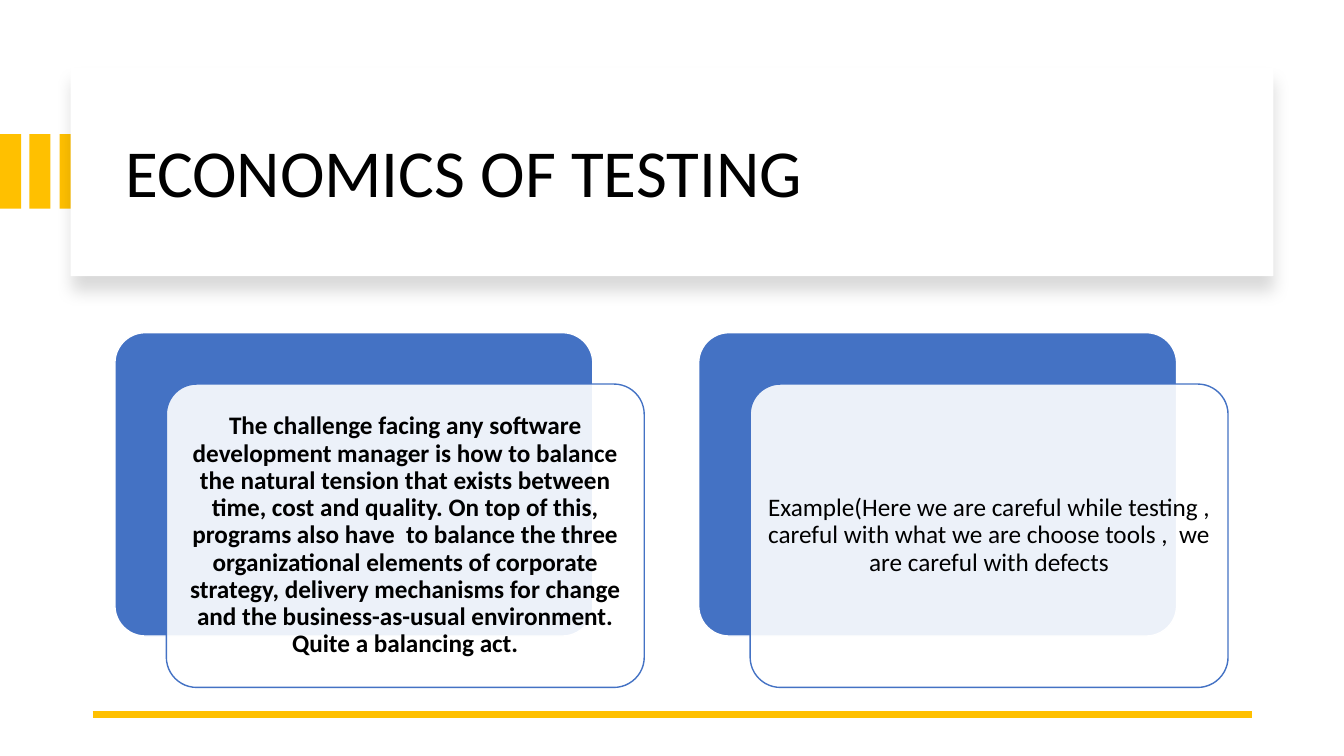
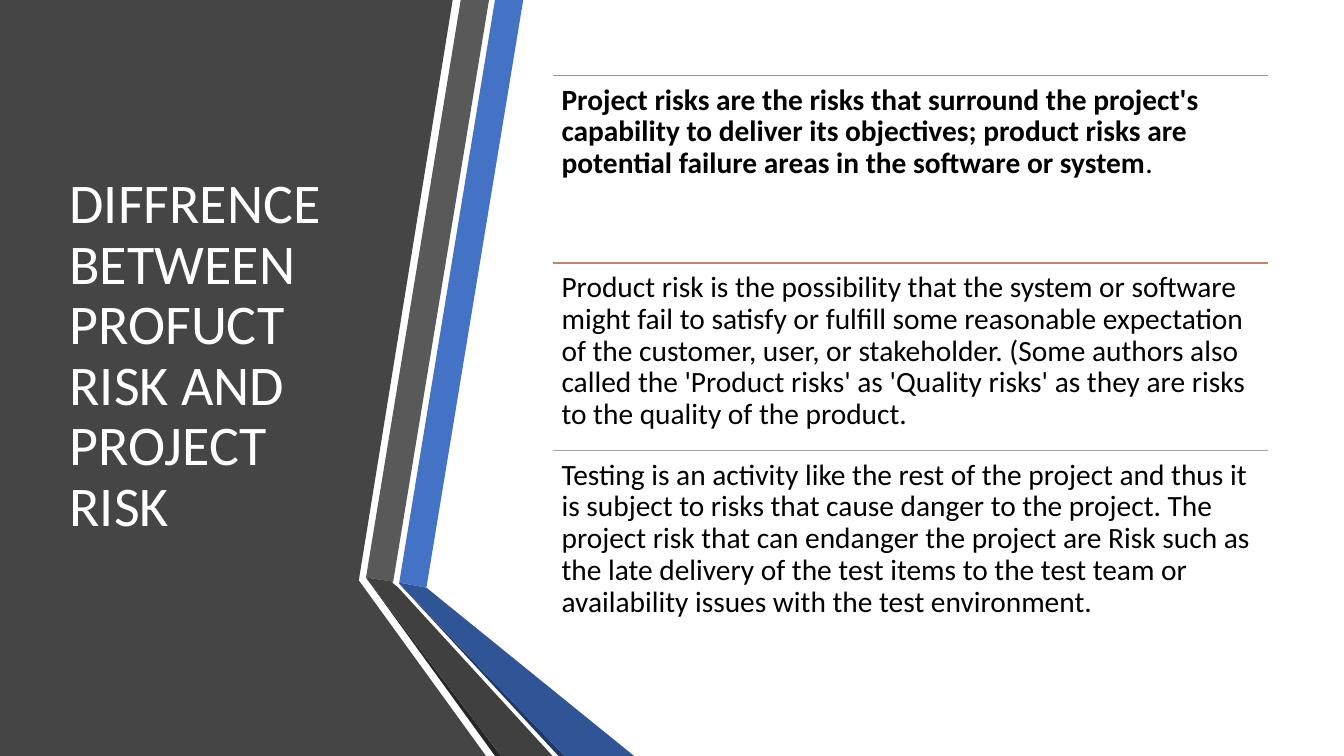
"""Build two slides on the economics of testing and on product and project risk."""
from lxml.etree import SubElement
from pptx import Presentation
from pptx.dml.color import RGBColor
from pptx.enum.shapes import MSO_CONNECTOR, MSO_SHAPE
from pptx.enum.text import MSO_ANCHOR, MSO_AUTO_SIZE, PP_ALIGN
from pptx.oxml.ns import qn
from pptx.util import Emu, Pt

PX = 9144
FONT = "Calibri"
COLORS = {
    "white": "FFFFFF", "black": "000000", "gold": "FFC000",
    "blue": "4472C4", "blue_dark": "2F5597", "navy": "203864",
    "panel": "454545", "gray": "595959", "gray_dark": "404040",
    "charcoal": "262626", "orange": "ED7D31", "rose": "C48170",
    "silver": "A5A5A5",
}

CARDS = [
    ("The challenge facing any software development manager is how to balance "
     "the natural tension that exists between time, cost and quality. On top of "
     "this, programs also have  to balance the three organizational elements of "
     "corporate strategy, delivery mechanisms for change and the "
     "business-as-usual environment. Quite a balancing act.", True),
    ("Example(Here we are careful while testing , careful with what we are "
     "choose tools ,  we are careful with defects", False),
]
RISKS = [
    ("orange", [
        ("Project risks are the risks that surround the project's capability to "
         "deliver its objectives; product risks are potential failure areas in "
         "the software or system", True),
        (".", False)]),
    ("rose", [
        ("Product risk is the possibility that the system or software might fail "
         "to satisfy or fulfill some reasonable expectation of the customer, "
         "user, or stakeholder. (Some authors also called the 'Product risks' as "
         "'Quality risks' as they are risks to the quality of the product.", False)]),
    ("silver", [
        ("Testing is an activity like the rest of the project and thus it is "
         "subject to risks that cause danger to the project. The project risk "
         "that can endanger the project are Risk such as the late delivery of the "
         "test items to the test team or availability issues with the test "
         "environment.", False)]),
]
RIBBONS = [
    ("panel", [(353, 0), (449, 0), (356, 575), (356, 576), (482, 750), (0, 750), (0, 0)]),
    ("blue", [(396, 578), (423, 583), (519, 0), (491, 0)]),
    ("gray", [(485, 0), (457, 0), (363, 573), (390, 577)]),
    ("charcoal", [(363, 573), (491, 750), (497, 750)]),
    ("navy", [(396, 579), (554, 750), (560, 750)]),
    ("blue_dark", [(396, 579), (560, 750), (629, 750), (423, 583), (396, 578)]),
    ("gray_dark", [(548, 750), (395, 583), (389, 578), (390, 577), (363, 573), (497, 750)]),
]


def rgb(name):
    """Return the named colour."""
    return RGBColor.from_string(COLORS[name])


def px(*values):
    """Turn px lengths into EMU."""
    return [Emu(v * PX) for v in values]


def paint(sp, fill, line=None):
    """Give a shape its fill and outline and no shadow."""
    sp.shadow.inherit = False
    sp.fill.solid()
    sp.fill.fore_color.rgb = rgb(fill)
    if line:
        sp.line.color.rgb = rgb(line)
        sp.line.width = Pt(1)
    else:
        sp.line.fill.background()


def add_box(s, box, fill, line=None, radius=None):
    """Add a rectangle, rounded when a radius is given."""
    kind = MSO_SHAPE.RECTANGLE if radius is None else MSO_SHAPE.ROUNDED_RECTANGLE
    sp = s.shapes.add_shape(kind, *px(*box))
    if radius is not None:
        sp.adjustments[0] = radius
    paint(sp, fill, line)
    return sp


def add_line(s, x1, x2, y, color, width):
    """Add a horizontal line."""
    ln = s.shapes.add_connector(MSO_CONNECTOR.STRAIGHT, *px(x1, y, x2, y))
    ln.line.color.rgb = rgb(color)
    ln.line.width = Pt(width)
    SubElement(ln.element.spPr, qn("a:effectLst"))


def add_polygon(s, points, fill):
    """Add a closed outline through the points."""
    builder = s.shapes.build_freeform(*points[0], scale=PX)
    builder.add_line_segments(points[1:], close=True)
    paint(builder.convert_to_shape(), fill)


def set_alpha(color, percent):
    """Make a colour element partly transparent."""
    SubElement(color, qn("a:alpha"), val=str(percent * 1000))


def add_shadow(sp):
    """Put a soft shadow below a shape."""
    effects = sp.element.spPr.find(qn("a:effectLst"))
    shadow = SubElement(effects, qn("a:outerShdw"), blurRad=str(Pt(11)),
                        dist=str(Pt(10)), dir="5400000", algn="t", rotWithShape="0")
    set_alpha(SubElement(shadow, qn("a:srgbClr"), val=COLORS["black"]), 15)


def write(sp, runs, size, color="black", align=PP_ALIGN.LEFT,
          anchor=MSO_ANCHOR.TOP, inset=None):
    """Write one paragraph of (text, bold) runs into a shape."""
    tf = sp.text_frame
    tf.word_wrap = True
    tf.auto_size = MSO_AUTO_SIZE.NONE
    tf.vertical_anchor = anchor
    if inset is not None:
        tf.margin_left, tf.margin_top, tf.margin_right, tf.margin_bottom = px(*[inset] * 4)
    p = tf.paragraphs[0]
    p.alignment = align
    p.line_spacing = 0.9
    p.font.name = FONT
    p.font.size = Pt(size)
    p.font.color.rgb = rgb(color)
    for text, bold in runs:
        r = p.add_run()
        r.text = text
        r.font.bold = bold


def add_title(s, text, box, size, color):
    """Place the title placeholder in front of the shapes drawn so far."""
    title = s.shapes.title
    s.shapes.element.append(title.element)
    title.left, title.top, title.width, title.height = px(*box)
    write(title, [(text, False)], size, color, anchor=MSO_ANCHOR.MIDDLE)


def add_card(s, x, y, text, bold):
    """Add a blue card with a translucent text card offset over it."""
    w, h, shift = 474, 301, 51
    add_box(s, (x, y, w, h), "blue", "white", 0.1)
    front = add_box(s, (x + shift, y + shift, w, h), "white", "blue", 0.1)
    set_alpha(front.element.spPr.find(qn("a:solidFill"))[0], 90)
    write(front, [(text, bold)], 18, align=PP_ALIGN.CENTER,
          anchor=MSO_ANCHOR.MIDDLE, inset=7)


def build_economics(s):
    """Build the slide on the economics of testing."""
    for i in range(3):
        add_box(s, (i * 59 // 2, 133, 21, 74), "gold")
    add_shadow(add_box(s, (70, 67, 1193, 207), "white"))
    add_title(s, "ECONOMICS OF TESTING", (114, 89, 1113, 170), 48, "black")
    add_line(s, 92, 1242, 709, "gold", 4.5)
    for i, (text, bold) in enumerate(CARDS):
        add_card(s, 114 + i * 579, 330, text, bold)


def build_risks(s):
    """Build the slide on product risk and project risk."""
    for fill, points in RIBBONS:
        add_polygon(s, points, fill)
    add_title(s, "DIFFRENCE BETWEEN PROFUCT RISK AND PROJECT RISK",
              (59, 75, 304, 558), 40, "white")
    left, width, height = 548, 710, 186
    for i, (color, runs) in enumerate(RISKS):
        top = 75 + i * height
        add_line(s, left, left + width, top, color, 1)
        tb = s.shapes.add_textbox(*px(left, top, width, height))
        write(tb, runs, 21, inset=9)


def main():
    """Build and save the presentation."""
    prs = Presentation()
    prs.slide_width, prs.slide_height = px(1333, 750)
    for build in (build_economics, build_risks):
        build(prs.slides.add_slide(prs.slide_layouts[5]))
    prs.save("out.pptx")


if __name__ == "__main__":
    main()
